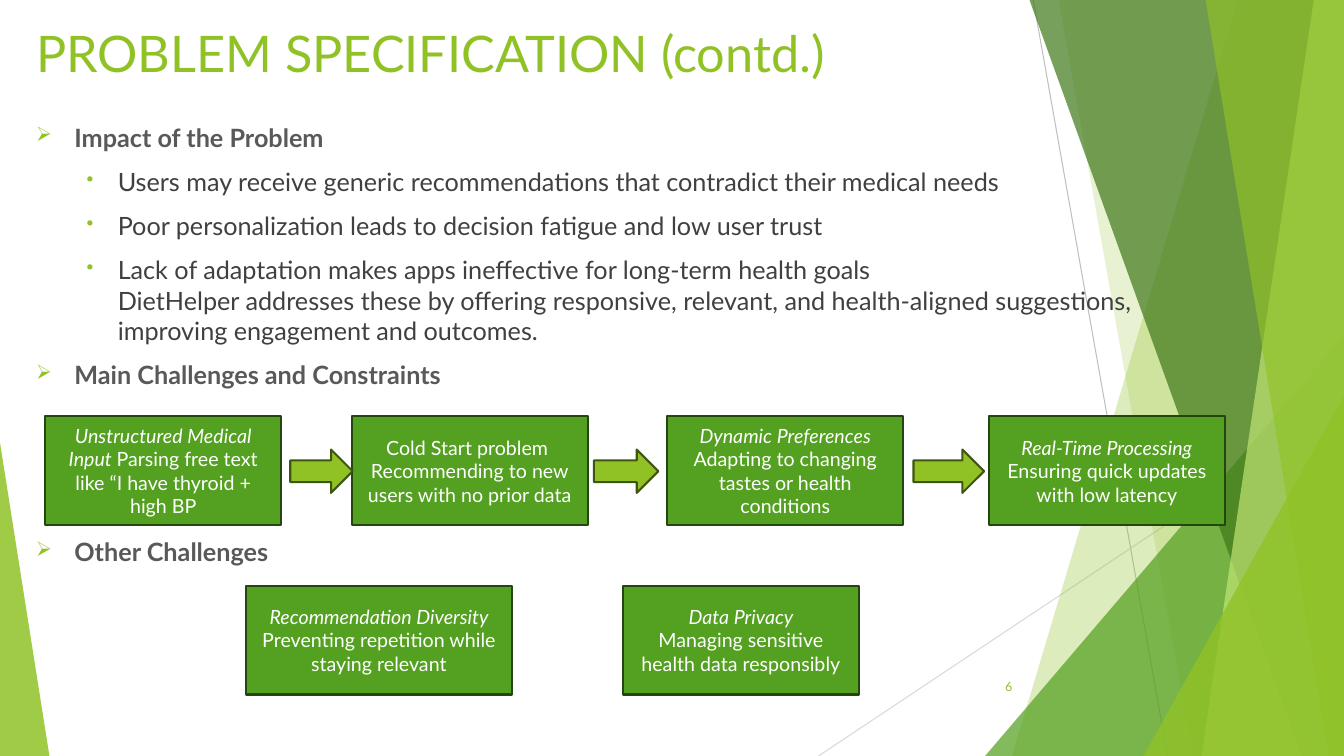
from dataclasses import dataclass

from lxml.etree import SubElement
from pptx import Presentation
from pptx.dml.color import RGBColor
from pptx.enum.shapes import MSO_CONNECTOR, MSO_SHAPE
from pptx.enum.text import MSO_ANCHOR, PP_ALIGN
from pptx.oxml.ns import qn
from pptx.slide import Slide
from pptx.util import Inches, Pt

COLORS = {
    "lime": "90C226", "pale": "C0E474", "green": "54A021", "forest": "3F7819",
    "box_edge": "25460E", "arrow_edge": "3F5511", "heading": "595959",
    "body": "404040", "white": "FFFFFF", "ray": "BFBFBF", "faint_ray": "D9D9D9",
}
WIDTH, HEIGHT = Inches(13.33), Inches(7.5)


@dataclass
class SlideBuilder:
    """Draws styled elements on one slide, with lengths in percent of its size."""

    slide: Slide
    font: str = "Lato"

    def x(self, share):
        return round(WIDTH * share / 100)

    def y(self, share):
        return round(HEIGHT * share / 100)

    def frame(self, left, top, width, height):
        return self.x(left), self.y(top), self.x(width), self.y(height)

    def color(self, name):
        return RGBColor.from_string(COLORS[name])

    def paint(self, shape, fill, edge=None, opacity=100):
        shape.shadow.inherit = False
        shape.fill.solid()
        shape.fill.fore_color.rgb = self.color(fill)
        if opacity < 100:
            tint = shape.fill._xPr.find(qn("a:solidFill"))[0]
            SubElement(tint, qn("a:alpha"), val=str(opacity * 1000))
        if edge:
            shape.line.color.rgb = self.color(edge)
            shape.line.width = Pt(1.5)
        else:
            shape.line.fill.background()

    def run(self, paragraph, text, size, color, bold=False, italic=False):
        run = paragraph.add_run()
        run.text = text
        font = run.font
        font.name, font.size, font.bold, font.italic = self.font, Pt(size), bold, italic
        font.color.rgb = self.color(color)

    def ray(self, start, end, color):
        ray = self.slide.shapes.add_connector(
            MSO_CONNECTOR.STRAIGHT, self.x(start[0]), self.y(start[1]),
            self.x(end[0]), self.y(end[1]))
        ray.line.color.rgb = self.color(color)
        ray.line.width = Pt(0.75)
        SubElement(ray._element.spPr, qn("a:effectLst"))

    def shard(self, top_left, bottom_left, bottom_right, color, opacity):
        corners = [(100, 0), (bottom_right, 100), (bottom_left, 100)]
        outline = self.slide.shapes.build_freeform(self.x(top_left), 0, scale=1.0)
        outline.add_line_segments([(self.x(x), self.y(y)) for x, y in corners])
        self.paint(outline.convert_to_shape(), color, opacity=opacity)

    def wedge(self, left, top, width, apex, color, opacity):
        wedge = self.slide.shapes.add_shape(
            MSO_SHAPE.ISOSCELES_TRIANGLE, *self.frame(left, top, width, 100 - top))
        wedge.adjustments[0] = apex
        self.paint(wedge, color, opacity=opacity)

    def text_area(self, *place):
        area = self.slide.shapes.add_textbox(*self.frame(*place)).text_frame
        area.word_wrap = True
        return area

    def label(self, place, text, size, align=PP_ALIGN.LEFT, anchor=MSO_ANCHOR.TOP):
        area = self.text_area(*place)
        area.vertical_anchor = anchor
        area.paragraphs[0].alignment = align
        self.run(area.paragraphs[0], text, size, "lime")

    def outline(self, place, items):
        area = self.text_area(*place)
        for index, (level, before, lines) in enumerate(items):
            paragraph = area.paragraphs[0] if index == 0 else area.add_paragraph()
            margin, hanging, mark = [(0.38, 0.38, "➢"), (0.81, 0.31, "•")][level]
            paragraph.level = level
            properties = paragraph._p.get_or_add_pPr()
            properties.set("marL", str(Inches(margin)))
            properties.set("indent", str(-Inches(hanging)))
            bullet_color = SubElement(properties, qn("a:buClr"))
            SubElement(bullet_color, qn("a:srgbClr"), val=COLORS["lime"])
            SubElement(properties, qn("a:buSzPct"), val="80000")
            SubElement(properties, qn("a:buChar"), char=mark)
            paragraph.space_before = Pt(before)
            for number, line in enumerate(lines):
                if number:
                    paragraph.add_line_break()
                self.run(paragraph, line, 18, ["heading", "body"][level], bold=level == 0)

    def card(self, left, top, width, paragraphs):
        card = self.slide.shapes.add_shape(
            MSO_SHAPE.RECTANGLE, *self.frame(left, top, width, 14.4))
        self.paint(card, "green", "box_edge")
        area = card.text_frame
        area.word_wrap = True
        area.vertical_anchor = MSO_ANCHOR.MIDDLE
        for index, runs in enumerate(paragraphs):
            paragraph = area.paragraphs[0] if index == 0 else area.add_paragraph()
            paragraph.alignment = PP_ALIGN.CENTER
            for text, italic in runs:
                self.run(paragraph, text, 14, "white", italic=italic)

    def arrow(self, left, width):
        arrow = self.slide.shapes.add_shape(
            MSO_SHAPE.RIGHT_ARROW, *self.frame(left, 59.47, width, 5.73))
        self.paint(arrow, "lime", "arrow_edge")


def main():
    deck = Presentation()
    deck.slide_width, deck.slide_height = WIDTH, HEIGHT
    page = SlideBuilder(deck.slides.add_slide(deck.slide_layouts[6]))

    page.ray((76.88, 0), (86.87, 100), "ray")
    page.ray((100, 53.73), (60.9, 100), "faint_ray")
    page.shard(92.1, 75.3, 100, "lime", 30)
    page.shard(78.77, 88.75, 100, "lime", 20)
    page.wedge(73.3, 44.4, 26.7, 1, "green", 72)
    page.shard(76.6, 96.85, 100, "forest", 70)
    page.shard(97.75, 89.4, 100, "pale", 70)
    page.shard(89.7, 98.87, 100, "lime", 65)
    page.wedge(85.07, 52.4, 14.93, 1, "lime", 80)
    page.wedge(0, 58.53, 3.68, 0, "lime", 85)

    page.label((1.95, 2.27, 70.52, 19.2), "PROBLEM SPECIFICATION (contd.)", 36)
    page.outline((1.95, 15.47, 89.5, 79.33), [
        (0, 0, ["Impact of the Problem"]),
        (1, 10, ["Users may receive generic recommendations that contradict their medical needs"]),
        (1, 10, ["Poor personalization leads to decision fatigue and low user trust"]),
        (1, 10, ["Lack of adaptation makes apps ineffective for long-term health goals",
                 "DietHelper addresses these by offering responsive, relevant, and "
                 "health-aligned suggestions, improving engagement and outcomes."]),
        (0, 10, ["Main Challenges and Constraints"]),
        (0, 105, ["Other Challenges"]),
    ])
    page.label((70.44, 88.13, 5.63, 5.33), "6", 9, PP_ALIGN.RIGHT, MSO_ANCHOR.MIDDLE)

    main_row, other_row, card_width = 55.07, 77.47, 17.55
    challenges = [
        (3.38, main_row, card_width, [[("Unstructured Medical Input ", True),
                                       ("Parsing free text like “I have thyroid + high BP", False)]]),
        (26.18, main_row, card_width, [[("Cold Start problem ", False)],
                                       [("Recommending to new users with no prior data", False)]]),
        (49.66, main_row, card_width, [[("Dynamic Preferences ", True),
                                        ("Adapting to changing tastes or health conditions", False)]]),
        (73.59, main_row, card_width, [[("Real-Time Processing ", True),
                                        ("Ensuring quick updates with low latency", False)]]),
        (18.3, other_row, 19.8, [[("Recommendation Diversity ", True),
                                  ("Preventing repetition while staying relevant", False)]]),
        (46.36, other_row, card_width, [[("Data Privacy", True)],
                                        [("Managing sensitive health data responsibly", False)]]),
    ]
    for challenge in challenges:
        page.card(*challenge)
    for left, width in [(21.6, 4.65), (44.19, 4.8), (67.97, 5.25)]:
        page.arrow(left, width)

    deck.save("out.pptx")


if __name__ == "__main__":
    main()
